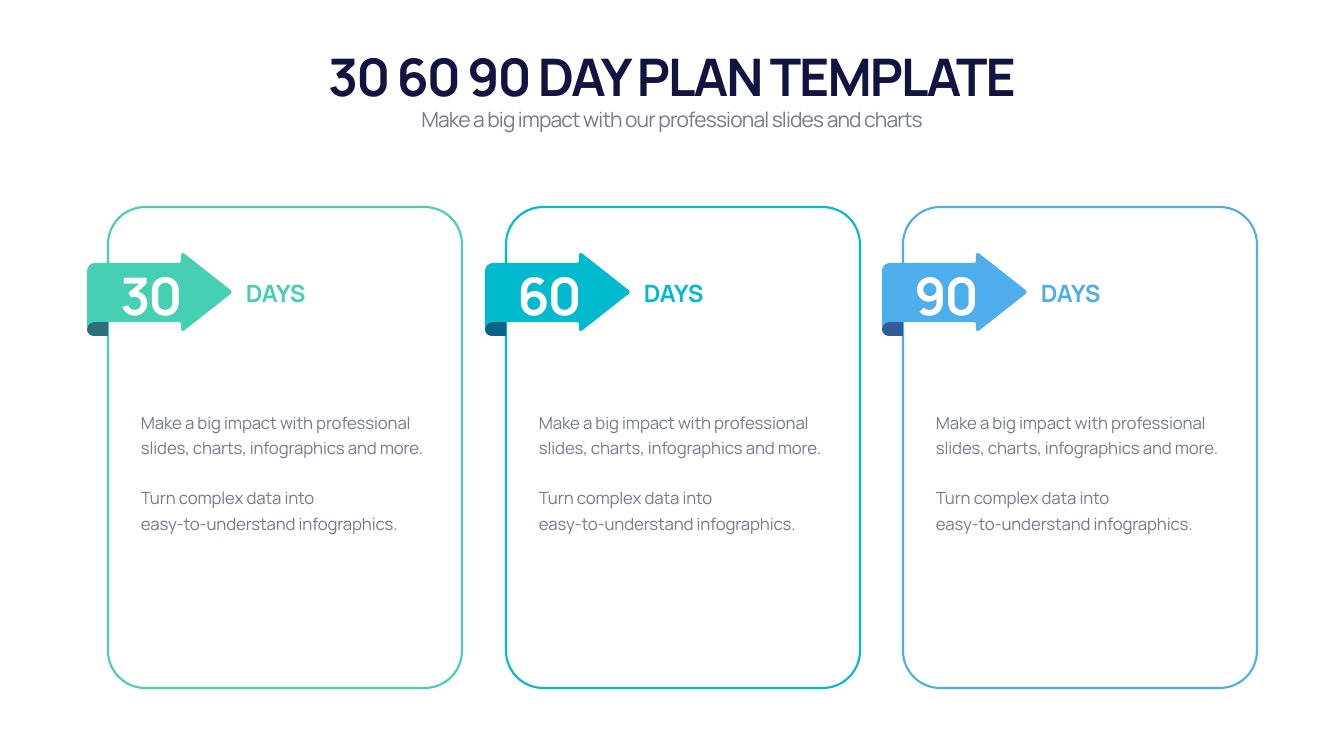
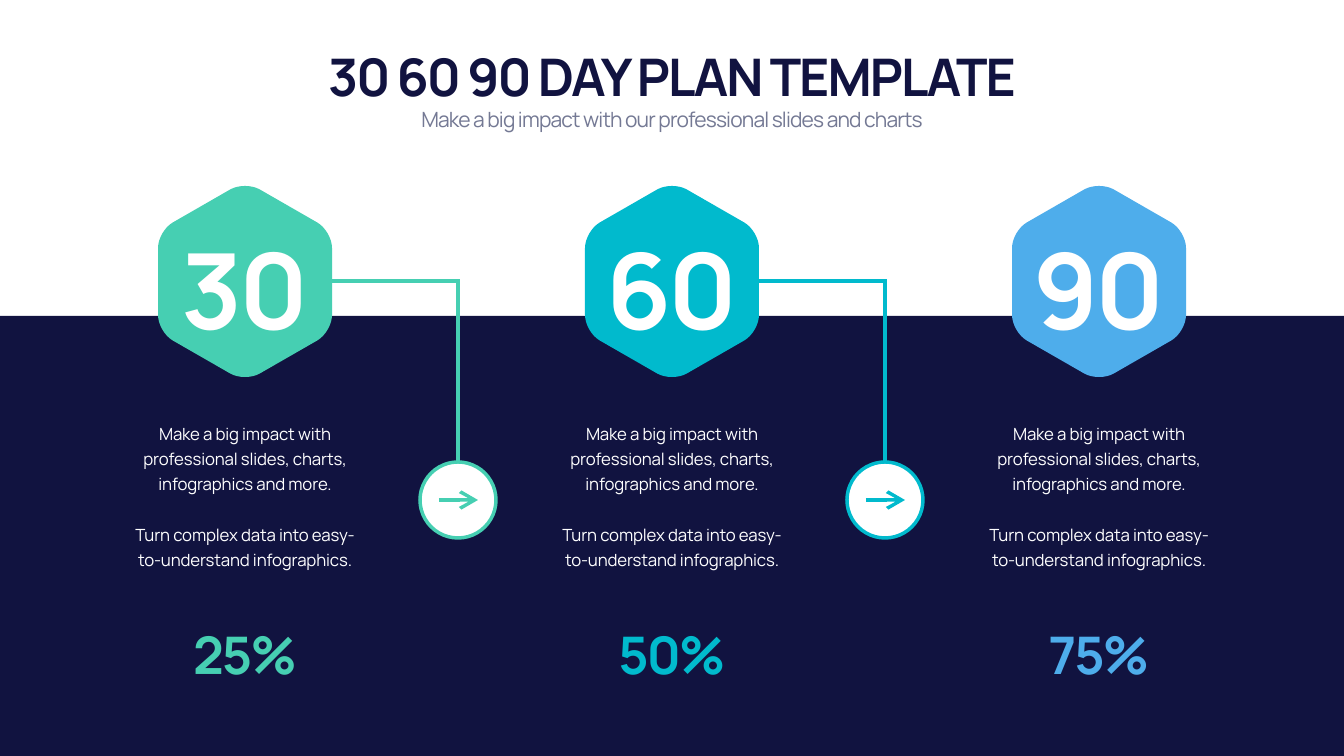
from dataclasses import dataclass
from typing import NamedTuple

from lxml.etree import SubElement
from pptx import Presentation
from pptx.dml.color import RGBColor
from pptx.enum.shapes import MSO_CONNECTOR as Connector, MSO_SHAPE as Preset
from pptx.enum.text import MSO_ANCHOR as Anchor, MSO_AUTO_SIZE as AutoSize, PP_ALIGN as Align
from pptx.oxml.ns import qn
from pptx.util import Pt

# Shared look
SCALE = 914400 / 50.4  # EMU in one pixel
WIDTH, HEIGHT = 1344, 756
COLUMN_PITCH = 427
FONT = "Manrope"
COLORS = {
    "navy": "111340", "fold": "121143", "grey": "747994", "white": "FFFFFF",
    "green": "46CFB2", "teal": "01BACD", "blue": "4EADEB",
}
TITLE = "30 60 90 DAY PLAN TEMPLATE"
SUBTITLE = "Make a big impact with our professional slides and charts"
IMPACT = "Make a big impact with professional slides, charts, infographics and more."


class Box(NamedTuple):
    left: int
    top: int
    width: int
    height: int


class Corner(NamedTuple):
    x: int
    y: int
    cut: int = 0  # distance from the corner where rounding starts


@dataclass
class Stage:
    days: str
    percent: str
    color: str


STAGES = [
    Stage("30", "25%", "green"),
    Stage("60", "50%", "teal"),
    Stage("90", "75%", "blue"),
]


def emu(pixels: float) -> int:
    return round(pixels * SCALE)


def rgb(name: str) -> RGBColor:
    return RGBColor.from_string(COLORS[name])


# Text
def write(shape, paragraphs: list[str], *, size: float, color: str, bold: bool = False,
          spacing: float = 0, align=Align.LEFT, anchor=Anchor.TOP,
          leading: float | None = None, gap: float = 0) -> None:
    """Fill a shape with text; gap is the space after the first paragraph."""
    frame = shape.text_frame
    frame.word_wrap = True
    frame.auto_size = AutoSize.SHAPE_TO_FIT_TEXT
    frame.vertical_anchor = anchor
    for index, text in enumerate(paragraphs):
        para = frame.add_paragraph() if index else frame.paragraphs[0]
        para.alignment = align
        para.space_before = Pt(0)
        para.space_after = Pt(0 if index else gap)
        if leading:
            para.line_spacing = Pt(leading)
        span = para.add_run()
        span.text = text
        span.font.name = FONT
        span.font.size = Pt(size)
        span.font.bold = bold
        span.font.color.rgb = rgb(color)
        span._r.get_or_add_rPr().set("spc", str(round(spacing * 100)))


def add_text(page, box: Box, paragraphs: list[str], **style) -> None:
    write(page.shapes.add_textbox(*map(emu, box)), paragraphs, **style)


# Shapes
def paint(shape, fill: str | None = None, line: str | None = None,
          weight: float = 0, alpha: int = 100) -> None:
    shape.shadow.inherit = False
    if fill:
        shape.fill.solid()
        shape.fill.fore_color.rgb = rgb(fill)
        if alpha < 100:
            tint = shape._element.spPr.find(qn("a:solidFill"))[0]
            SubElement(tint, qn("a:alpha")).set("val", str(alpha * 1000))
    else:
        shape.fill.background()
    if line:
        shape.line.color.rgb = rgb(line)
        shape.line.width = Pt(weight)
        SubElement(shape.line._get_or_add_ln(), qn("a:miter")).set("lim", "800000")
    else:
        shape.line.fill.background()


def add_preset(page, kind, box: Box, **look):
    shape = page.shapes.add_shape(kind, *map(emu, box))
    paint(shape, **look)
    return shape


def build_outline(page, points, closed: bool):
    scaled = [(emu(x), emu(y)) for x, y in points]
    builder = page.shapes.build_freeform(*scaled[0], scale=1.0)
    builder.add_line_segments(scaled[1:], close=closed)
    return builder.convert_to_shape()


def add_polyline(page, points, **look) -> None:
    paint(build_outline(page, points, closed=False), **look)


def toward(start: Corner, end: Corner, distance: float) -> tuple[float, float]:
    dx, dy = end.x - start.x, end.y - start.y
    ratio = distance / (dx * dx + dy * dy) ** 0.5
    return start.x + dx * ratio, start.y + dy * ratio


def add_rounded(page, corners: list[Corner], **look) -> None:
    """Draw a closed outline, turning each cut corner into one Bezier curve."""
    points, curve_starts = [], []
    for index, corner in enumerate(corners):
        if not corner.cut:
            points.append((corner.x, corner.y))
            continue
        before, after = corners[index - 1], corners[(index + 1) % len(corners)]
        curve_starts.append(len(points))
        points += [toward(corner, before, corner.cut), toward(corner, before, corner.cut * 0.45),
                   toward(corner, after, corner.cut * 0.45), toward(corner, after, corner.cut)]
    shape = build_outline(page, points, closed=True)
    outline = next(shape._element.iter(qn("a:path")))
    steps = list(outline)
    for start in curve_starts:
        curve = SubElement(outline, qn("a:cubicBezTo"))
        steps[start].addnext(curve)
        for step in steps[start + 1:start + 4]:
            curve.append(step[0])
            outline.remove(step)
    paint(shape, **look)


def add_arrow(page, start: tuple[int, int], end: tuple[int, int], color: str) -> None:
    arrow = page.shapes.add_connector(Connector.STRAIGHT, *map(emu, start + end))
    arrow.line.color.rgb = rgb(color)
    arrow.line.width = Pt(5)
    head = SubElement(arrow.line._get_or_add_ln(), qn("a:tailEnd"))
    for name, value in (("type", "arrow"), ("w", "lg"), ("len", "lg")):
        head.set(name, value)
    SubElement(arrow._element.spPr, qn("a:effectLst"))


# Page with heading
def add_page(deck):
    page = deck.slides.add_slide(deck.slide_layouts[0])
    title, subtitle = page.shapes.title, page.placeholders[1]
    for holder, box in ((title, Box(84, 41, 1176, 68)), (subtitle, Box(84, 104, 1176, 31))):
        holder.left, holder.top, holder.width, holder.height = map(emu, box)
    write(title, [TITLE], size=74, color="navy", bold=True, spacing=-2.9,
          align=Align.CENTER, anchor=Anchor.BOTTOM)
    write(subtitle, [SUBTITLE], size=30, color="grey", spacing=-1.2, align=Align.CENTER)
    return page


# Slide 1: cards with ribbon arrows
def add_card(page, left: int, stage: Stage) -> None:
    card = add_preset(page, Preset.ROUNDED_RECTANGLE, Box(left, 207, 354, 481),
                      line=stage.color, weight=3)
    card.adjustments[0] = 0.105
    edge, neck = left - 21, left + 73
    fold = [Corner(left, 322), Corner(edge, 322, 7), Corner(edge, 336, 7), Corner(left, 336)]
    add_rounded(page, fold, fill=stage.color)
    add_rounded(page, fold, fill="fold", alpha=50)
    ribbon = [Corner(edge, 263, 8), Corner(neck, 263, 2), Corner(neck, 251, 4),
              Corner(left + 125, 292, 3), Corner(neck, 333, 4), Corner(neck, 322, 2),
              Corner(edge, 322, 7), Corner(edge, 329)]
    add_rounded(page, ribbon, fill=stage.color)
    add_text(page, Box(left + 133, 276, 191, 34), ["DAYS"], size=34, color=stage.color,
             bold=True, spacing=-0.3, anchor=Anchor.MIDDLE)
    add_text(page, Box(left - 1, 261, 89, 68), [stage.days], size=74, color="white",
             bold=True, spacing=-2.9, align=Align.CENTER, anchor=Anchor.MIDDLE)
    add_text(page, Box(left + 28, 392, 296, 157),
             [IMPACT, "Turn complex data into", "easy-to-understand infographics."],
             size=24, color="grey", spacing=-0.2, anchor=Anchor.MIDDLE, leading=36, gap=36)


# Slide 2: hexagons joined by steps
def add_hexagon(page, center: int, stage: Stage) -> None:
    left, right = center - 87, center + 87
    corners = [Corner(center, 181, 17), Corner(right, 231, 17), Corner(right, 332, 17),
               Corner(center, 382, 17), Corner(left, 332, 17), Corner(left, 231, 17)]
    add_rounded(page, corners, fill=stage.color)
    add_text(page, Box(center - 77, 221, 154, 133), [stage.days], size=150, color="white",
             bold=True, spacing=-5.5, align=Align.CENTER, anchor=Anchor.MIDDLE)
    add_text(page, Box(center - 122, 403, 244, 182),
             [IMPACT, "Turn complex data into easy-to-understand infographics."],
             size=24, color="white", spacing=-0.2, align=Align.CENTER,
             anchor=Anchor.MIDDLE, leading=36, gap=36)
    add_text(page, Box(center - 122, 620, 244, 68), [stage.percent], size=74,
             color=stage.color, bold=True, spacing=-2.9, align=Align.CENTER)


def add_step(page, center: int, color: str) -> None:
    joint = center + COLUMN_PITCH // 2
    add_polyline(page, [(center + 87, 281), (joint, 281), (joint, 500)],
                 line=color, weight=5)
    add_preset(page, Preset.OVAL, Box(joint - 38, 462, 76, 76),
               fill="white", line=color, weight=5)
    add_arrow(page, (joint - 19, 500), (joint + 20, 500), color)


# Build the deck
deck = Presentation()
deck.slide_width, deck.slide_height = emu(WIDTH), emu(HEIGHT)

cards_page = add_page(deck)
for index, stage in enumerate(STAGES):
    add_card(cards_page, 108 + (index * 795 + 1) // 2, stage)

steps_page = add_page(deck)
add_preset(steps_page, Preset.RECTANGLE, Box(0, 316, WIDTH, HEIGHT - 316), fill="navy")
for index, stage in enumerate(STAGES):
    center = WIDTH // 2 + (index - 1) * COLUMN_PITCH
    add_hexagon(steps_page, center, stage)
    if index < len(STAGES) - 1:
        add_step(steps_page, center, stage.color)

deck.save("out.pptx")
